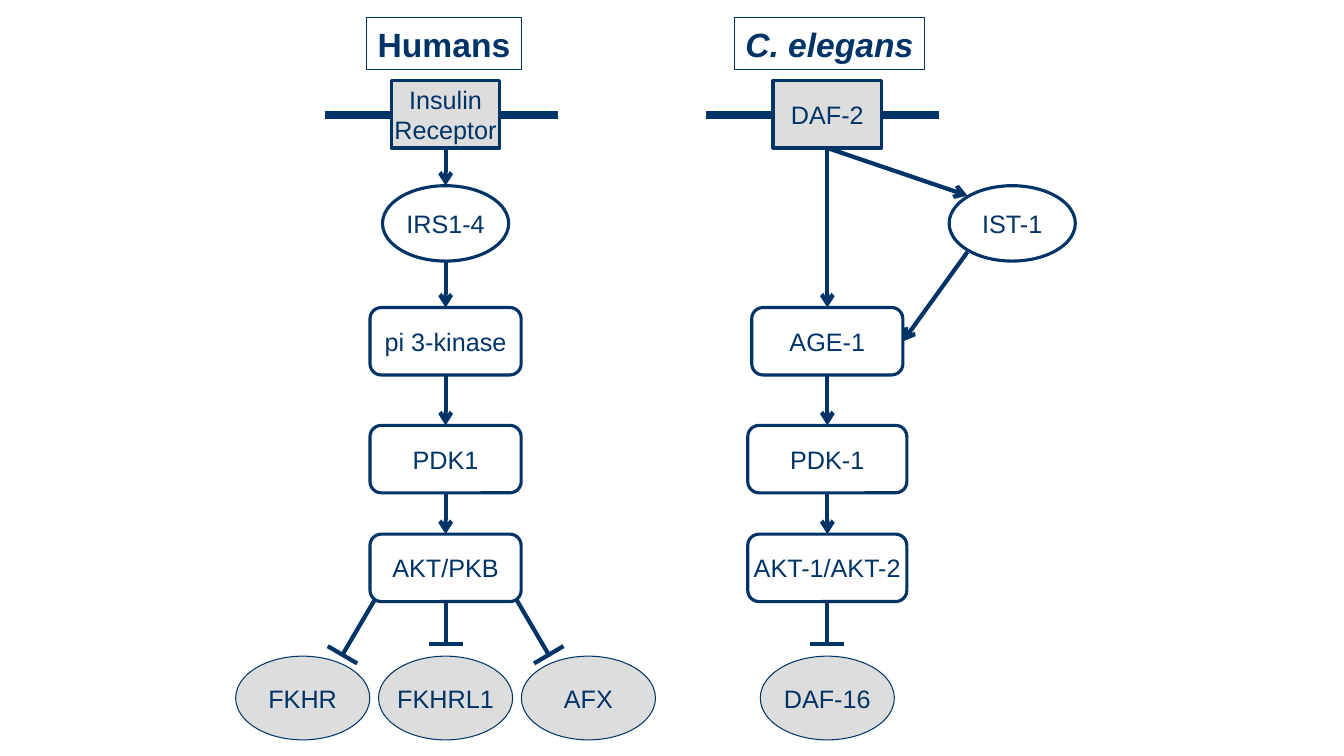
from math import hypot

from pptx import Presentation
from pptx.dml.color import RGBColor
from pptx.enum.shapes import MSO_CONNECTOR as Connector, MSO_SHAPE as Preset
from pptx.enum.text import MSO_ANCHOR as Anchor, PP_ALIGN as Align
from pptx.oxml.ns import qn
from pptx.util import Cm, Pt

NAVY, GREY, WHITE = "003366", "DDDDDD", "FFFFFF"
TOP, BOTTOM, RIGHT = 0, 2, 3
HUMAN_X, WORM_X, IST_X = 11.23, 20.85, 25.51
RECEPTOR_Y, SUBSTRATE_Y, KINASE_Y = 2.88, 5.63, 8.6
PDK_Y, AKT_Y, TARGET_Y = 11.57, 14.31, 17.59
TARGET_STEP = 3.6


def color(value):
    """Turn a hex string into a colour."""
    return RGBColor.from_string(value)


class PathwayDiagram:
    """Draws pathway elements on one slide, in centimetres."""

    def __init__(self, slide, font="Arial"):
        """Keep the slide and the font."""
        self.slide = slide
        self.font = font

    def node(self, preset, text, x, y, width, height, fill=WHITE,
             line=2.25, size=18, bold=None, italic=None):
        """Draw a labelled shape centred on a point."""
        shape = self.slide.shapes.add_shape(
            preset, Cm(x - width / 2), Cm(y - height / 2), Cm(width), Cm(height))
        shape.shadow.inherit = False
        shape.fill.solid()
        shape.fill.fore_color.rgb = color(fill)
        shape.line.color.rgb = color(NAVY)
        shape.line.width = Pt(line)
        frame = shape.text_frame
        frame.word_wrap = False
        frame.vertical_anchor = Anchor.MIDDLE
        frame.text = text
        paragraph = frame.paragraphs[0]
        paragraph.alignment = Align.CENTER
        font = paragraph.font
        font.name, font.size = self.font, Pt(size)
        font.bold, font.italic = bold, italic
        font.color.rgb = color(NAVY)
        return shape

    def heading(self, text, x, width, italic=None):
        """Draw the framed name of a species."""
        return self.node(Preset.RECTANGLE, text, x, 1.1, width, 1.3,
                         line=0.75, size=24, bold=True, italic=italic)

    def receptor(self, text, x):
        """Draw a receptor crossing its membrane."""
        self.line((x - 3.05, RECEPTOR_Y + 0.02), (x + 2.82, RECEPTOR_Y + 0.02), 6)
        return self.node(Preset.RECTANGLE, text, x, RECEPTOR_Y, 2.74, 1.7, GREY)

    def substrate(self, text, x):
        """Draw a receptor substrate."""
        return self.node(Preset.OVAL, text, x, SUBSTRATE_Y, 3.18, 1.9)

    def kinase(self, text, x, y, width=3.81):
        """Draw a kinase."""
        return self.node(Preset.ROUNDED_RECTANGLE, text, x, y, width, 1.7)

    def target(self, text, x):
        """Draw a transcription factor."""
        return self.node(Preset.OVAL, text, x, TARGET_Y, 3.38, 2.11, GREY, 0.75)

    def line(self, start, end, width=3, arrow=False):
        """Draw a straight line between two points."""
        connector = self.slide.shapes.add_connector(
            Connector.STRAIGHT, *(Cm(value) for value in (*start, *end)))
        connector.line.color.rgb = color(NAVY)
        connector.line.width = Pt(width)
        properties = connector._element.spPr
        if arrow:
            outline = properties.find(qn("a:ln"))
            outline.makeelement(qn("a:tailEnd"), {"type": "arrow"})
            outline.append(outline.makeelement(qn("a:tailEnd"), {"type": "arrow"}))
        properties.append(properties.makeelement(qn("a:effectLst"), {}))
        return connector

    def step(self, upper, lower):
        """Draw an arrow from one node down to the next."""
        x = (upper.left + upper.width / 2) / Cm(1)
        bottom = (upper.top + upper.height) / Cm(1)
        arrow = self.line((x, bottom), (x, lower.top / Cm(1)), arrow=True)
        if upper.auto_shape_type != Preset.OVAL:
            arrow.begin_connect(upper, BOTTOM)
        arrow.end_connect(lower, TOP)

    def inhibit(self, start, end):
        """Draw a stem with a bar across its end."""
        stem = self.line(start, end)
        dx, dy = end[0] - start[0], end[1] - start[1]
        scale = 0.43 / hypot(dx, dy)
        across, along = dy * scale, -dx * scale
        self.line((end[0] - across, end[1] - along),
                  (end[0] + across, end[1] + along))
        return stem


def main():
    """Build the slide and save it."""
    presentation = Presentation()
    presentation.slide_width, presentation.slide_height = Cm(33.87), Cm(19.05)
    slide = presentation.slides.add_slide(presentation.slide_layouts[6])
    diagram = PathwayDiagram(slide)

    for side in (-1, 1):
        diagram.inhibit((HUMAN_X + side * 1.65, 14.88),
                        (HUMAN_X + side * 2.6, 16.5))

    human = [
        diagram.receptor("Insulin\vReceptor", HUMAN_X),
        diagram.substrate("IRS1-4", HUMAN_X),
        diagram.kinase("pi 3-kinase", HUMAN_X, KINASE_Y),
        diagram.kinase("PDK1", HUMAN_X, PDK_Y),
        diagram.kinase("AKT/PKB", HUMAN_X, AKT_Y),
    ]
    worm = [
        diagram.receptor("DAF-2", WORM_X),
        diagram.kinase("AGE-1", WORM_X, KINASE_Y),
        diagram.kinase("PDK-1", WORM_X, PDK_Y, 4.01),
        diagram.kinase("AKT-1/AKT-2", WORM_X, AKT_Y, 4.01),
    ]
    diagram.substrate("IST-1", IST_X)
    for index, name in enumerate(("FKHR", "FKHRL1", "AFX")):
        diagram.target(name, HUMAN_X + (index - 1) * TARGET_STEP)
    diagram.target("DAF-16", WORM_X)

    for pathway, x in ((human, HUMAN_X), (worm, WORM_X)):
        for upper, lower in zip(pathway, pathway[1:]):
            diagram.step(upper, lower)
        stem = diagram.inhibit((x, AKT_Y + 0.85), (x, 16.23))
        stem.begin_connect(pathway[-1], BOTTOM)

    daf2, age1 = worm[:2]
    to_ist = diagram.line((WORM_X, 3.73), (24.38, 4.93), arrow=True)
    to_ist.begin_connect(daf2, BOTTOM)
    from_ist = diagram.line((24.38, 6.35), (22.76, KINASE_Y), arrow=True)
    from_ist.end_connect(age1, RIGHT)

    diagram.heading("Humans", HUMAN_X - 0.04, 3.89)
    diagram.heading("C. elegans", WORM_X + 0.05, 4.78, italic=True)
    presentation.save("out.pptx")


if __name__ == "__main__":
    main()
